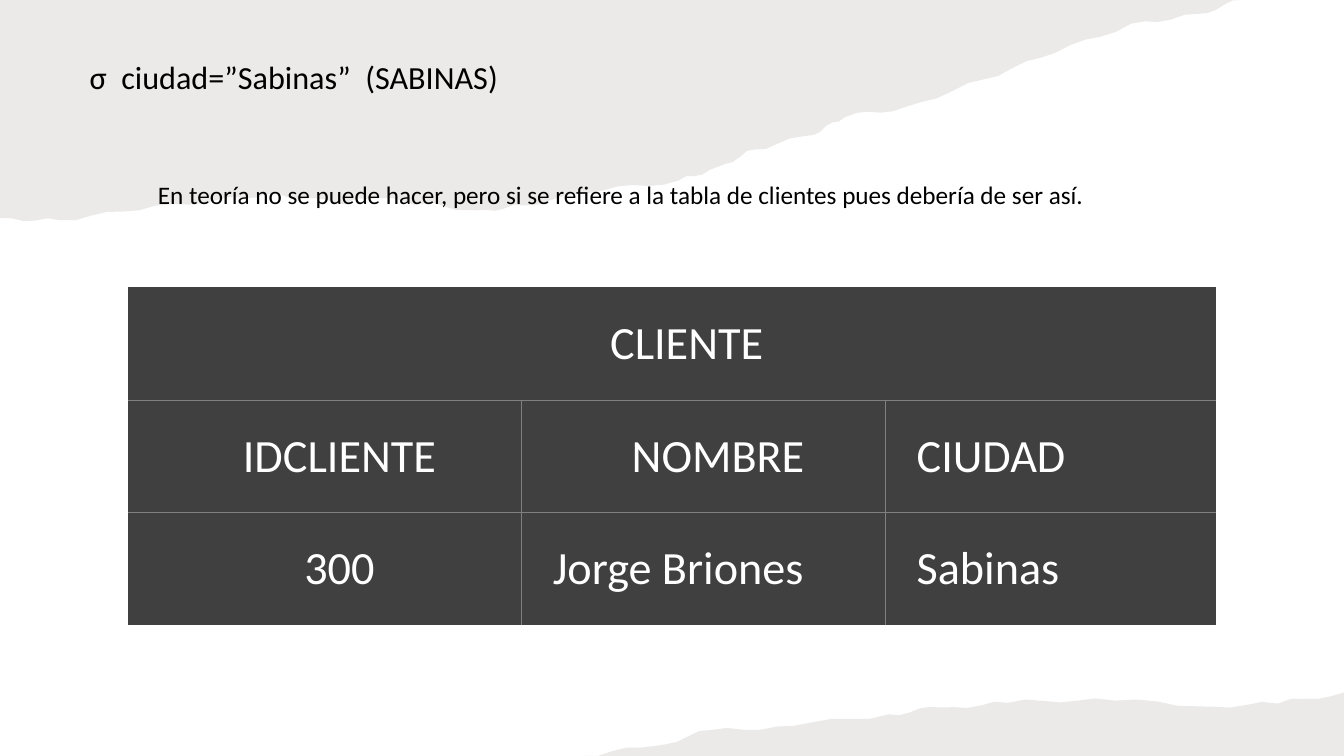
from itertools import pairwise
from math import sin

from lxml import etree
from pptx import Presentation
from pptx import util as u
from pptx.dml.color import RGBColor
from pptx.enum import text
from pptx.oxml.ns import qn

THEME = {
    "font": "Calibri",
    "paper": "82766A", "alpha": 15,
    "ink": "000000", "cell": "404040", "light": "FFFFFF", "rule": "808080",
    "title": 23, "note": 18, "table": 33, "line": 0.5,
}

TITLE = "σ  ciudad=”Sabinas”  (SABINAS)"
NOTE = ("En teoría no se puede hacer, pero si se refiere a la tabla "
        "de clientes pues debería de ser así.")
CLIENT = [
    ["CLIENTE", "", ""],
    ["IDCLIENTE", "NOMBRE", "CIUDAD"],
    ["300", "Jorge Briones", "Sabinas"],
]
LEFT = {"CIUDAD", "Jorge Briones", "Sabinas"}

WIDE, HIGH = 33.87, 19.05

# Left, top, width, height in cm
TITLE_BOX = (2.01, 1.42, 21.26, 2.06)
NOTE_BOX = (3.73, 4.39, 24.16, 1.02)
TABLE_AT = (3.23, 7.24)
COLS = (9.91, 9.17, 8.33)
ROW = 2.84
PAD = (0.79, 0.61, 0.05, 0.61)

# Turning points of the torn edges in cm, and the corners that close them
TOP_TEAR = [
    (31.29, 0), (30.2, 0.35), (28.5, 0.6), (26.6, 1.33), (24.8, 2),
    (22.8, 2.7), (21.3, 2.95), (20.5, 3.4), (19, 3.77), (18.1, 4.2),
    (17.1, 4.55), (15.2, 4.8), (13.2, 5.18), (12, 5.3), (10.7, 5.13),
    (9.4, 5), (8.5, 5.13), (7, 4.88), (5.6, 5), (3.5, 5.3),
    (1.5, 5.55), (0, 5.49),
]
TOP_END = [(0, 0)]
LOW_TEAR = [
    (14.73, 19.05), (16.5, 18.8), (17.9, 18.4), (20, 18.29), (22.4, 18),
    (23.7, 17.83), (25.4, 17.71), (27.6, 17.6), (30.2, 17.8),
    (32.2, 17.73), (33.87, 17.45),
]
LOW_END = [(WIDE, HIGH)]


def rgb(name):
    return RGBColor.from_string(THEME[name])


def style(frame, size, ink):
    for para in frame.paragraphs:
        for run in para.runs:
            run.font.name = THEME["font"]
            run.font.size = u.Pt(THEME[size])
            run.font.color.rgb = rgb(ink)


def fray(edge, steps=5, depth=0.06):
    """Split each stretch and nudge the points between up or down."""
    spots = [edge[0]]
    for (x, y), (nx, ny) in pairwise(edge):
        for i in range(1, steps):
            part = i / steps
            nudge = depth * sin(5 * len(spots) + x)
            spots.append((x + (nx - x) * part, y + (ny - y) * part + nudge))
        spots.append((nx, ny))
    return spots


def tear(slide, edge, end):
    """Draw one translucent strip of torn paper."""
    spots = [(u.Cm(x), u.Cm(y)) for x, y in fray(edge) + end]
    pen = slide.shapes.build_freeform(*spots[0])
    pen.add_line_segments(spots[1:], close=True)
    strip = pen.convert_to_shape()
    strip.shadow.inherit = False
    strip.line.fill.background()
    strip.fill.solid()
    strip.fill.fore_color.rgb = rgb("paper")
    tint = next(strip.element.spPr.iter(qn("a:srgbClr")))
    etree.SubElement(tint, qn("a:alpha"), val=str(THEME["alpha"] * 1000))


def label(slide, words, box, size, wrap):
    frame = slide.shapes.add_textbox(*map(u.Cm, box)).text_frame
    frame.word_wrap = wrap
    frame.text = words
    style(frame, size, "ink")
    return frame


def border(cell, sides):
    """Rule the sides marked true, in the order left, right, top, bottom."""
    props = cell._tc.get_or_add_tcPr()
    for spot, (side, shown) in enumerate(zip("LRTB", sides)):
        line = etree.Element(qn("a:ln" + side),
                             w=str(int(u.Pt(THEME["line"]))))
        if shown:
            fill = etree.SubElement(line, qn("a:solidFill"))
            etree.SubElement(fill, qn("a:srgbClr"), val=THEME["rule"])
        else:
            etree.SubElement(line, qn("a:noFill"))
        props.insert(spot, line)


def grid(slide):
    rows, cols = len(CLIENT), len(COLS)
    size = (sum(COLS), ROW * rows)
    table = slide.shapes.add_table(
        rows, cols, *map(u.Cm, TABLE_AT + size)).table
    table.first_row = table.horz_banding = False
    align = text.PP_ALIGN
    for col, width in zip(table.columns, COLS):
        col.width = u.Cm(width)
    for r, line in enumerate(CLIENT):
        table.rows[r].height = u.Cm(ROW)
        for c, words in enumerate(line):
            cell = table.cell(r, c)
            cell.text = words
            cell.fill.solid()
            cell.fill.fore_color.rgb = rgb("cell")
            cell.vertical_anchor = text.MSO_ANCHOR.MIDDLE
            (cell.margin_left, cell.margin_top,
             cell.margin_right, cell.margin_bottom) = map(u.Cm, PAD)
            cell.text_frame.paragraphs[0].alignment = (
                align.LEFT if words in LEFT else align.CENTER)
            style(cell.text_frame, "table", "light")
            border(cell, (r > 0 and c > 0, r > 0 and c < cols - 1,
                          r > 0, r < rows - 1))
    table.cell(0, 0).merge(table.cell(0, cols - 1))


def main():
    deck = Presentation()
    deck.slide_width, deck.slide_height = u.Cm(WIDE), u.Cm(HIGH)
    slide = deck.slides.add_slide(deck.slide_layouts[6])
    tear(slide, TOP_TEAR, TOP_END)
    head = label(slide, TITLE, TITLE_BOX, "title", True)
    head.paragraphs[0].line_spacing = 0.9
    tear(slide, LOW_TEAR, LOW_END)
    grid(slide)
    label(slide, NOTE, NOTE_BOX, "note", False)
    deck.save("out.pptx")


if __name__ == "__main__":
    main()
